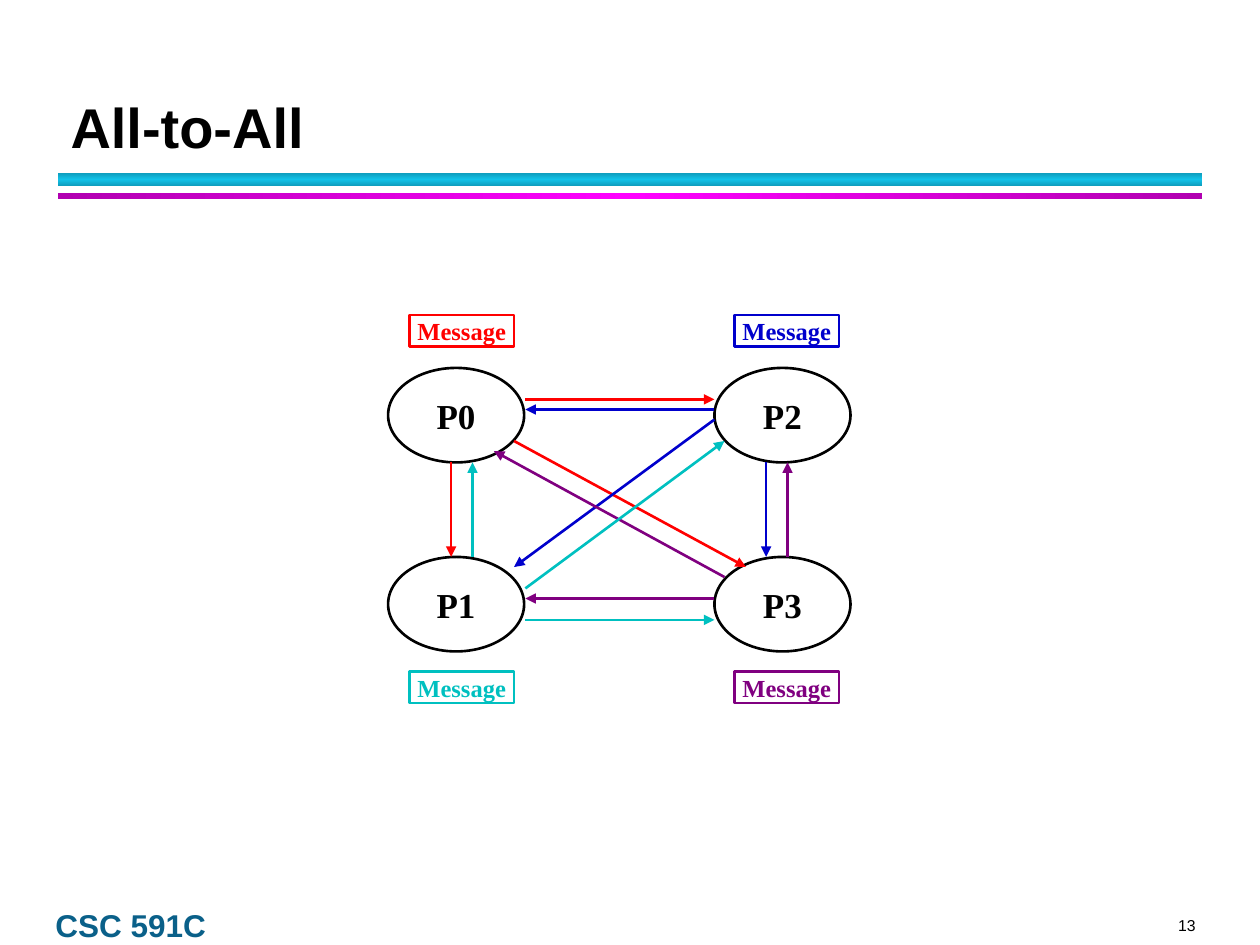
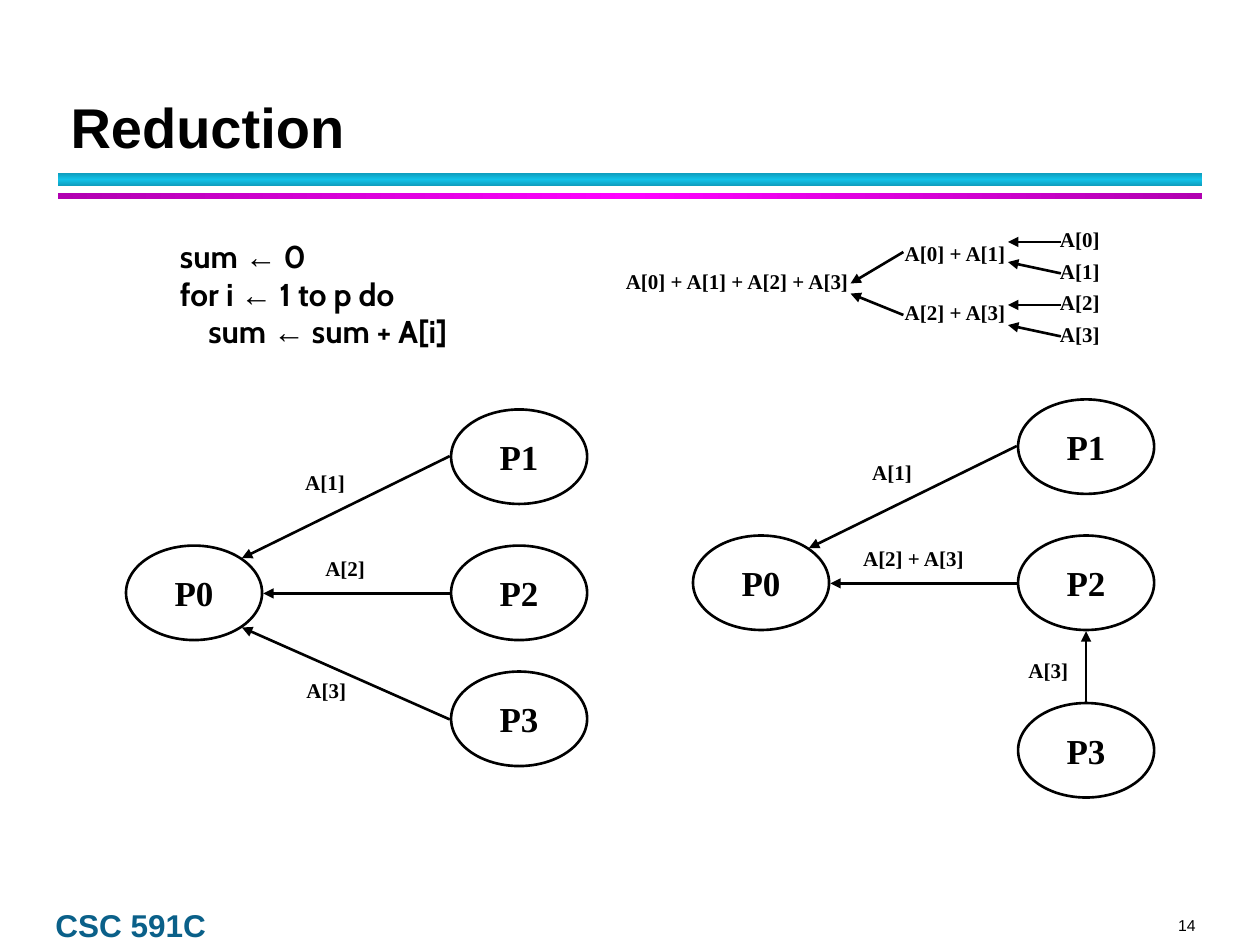
from copy import deepcopy
from dataclasses import dataclass, replace
from typing import NamedTuple

from lxml import etree
from pptx import Presentation
from pptx.dml.color import RGBColor
from pptx.enum.shapes import MSO_CONNECTOR, MSO_SHAPE
from pptx.enum.text import MSO_ANCHOR, MSO_AUTO_SIZE, PP_ALIGN
from pptx.oxml.ns import qn
from pptx.util import Emu, Pt

PX = 9144  # EMU per px, 100 px to the inch
TITLE_ONLY = 5
OVAL, RECTANGLE = MSO_SHAPE.OVAL, MSO_SHAPE.RECTANGLE
STRAIGHT = MSO_CONNECTOR.STRAIGHT
LEFT, CENTER, RIGHT = PP_ALIGN.LEFT, PP_ALIGN.CENTER, PP_ALIGN.RIGHT
MIDDLE, BOTTOM = MSO_ANCHOR.MIDDLE, MSO_ANCHOR.BOTTOM


@dataclass(frozen=True)
class TextStyle:
    font: str
    size: int
    color: str = "000000"
    bold: bool = True
    align: PP_ALIGN = CENTER
    line_pt: int | None = None


@dataclass(frozen=True)
class Theme:
    black: str = "000000"
    red: str = "FF0000"
    teal: str = "00C0C0"
    blue: str = "0000CC"
    purple: str = "800080"
    cyan_band: tuple[str, str] = ("0E9AB9", "12C2E9")
    magenta_band: tuple[str, str] = ("B100B1", "FF00FF")
    line_width: float = 1.5
    symbol_font: str = "Arial"
    title: TextStyle = TextStyle("Arial", 32, align=LEFT, line_pt=36)
    course: TextStyle = TextStyle("Arial", 18, "0A6089", align=LEFT, line_pt=20)
    number: TextStyle = TextStyle("Arial", 9, bold=False, align=RIGHT)
    process: TextStyle = TextStyle("Times New Roman", 20)
    message: TextStyle = TextStyle("Times New Roman", 14)
    term: TextStyle = TextStyle("Times New Roman", 12)
    code: TextStyle = TextStyle("Cabin", 18, align=LEFT)


THEME = Theme()


class Box(NamedTuple):
    left: int
    top: int
    width: int
    height: int


class Process(NamedTuple):
    name: str
    left: int
    top: int


class Term(NamedTuple):
    text: str
    left: int
    top: int


class Arrow(NamedTuple):
    x1: int
    y1: int
    x2: int
    y2: int
    color: str = THEME.black


class Band(NamedTuple):
    box: Box
    edge_and_middle: tuple[str, str]
    angle: int


BANDS = [
    Band(Box(46, 137, 908, 11), THEME.cyan_band, 90),
    Band(Box(46, 153, 908, 5), THEME.magenta_band, 0),
]

ALL_TO_ALL_PROCESSES = [
    Process(f"P{2 * column + row}", left, top)
    for column, left in enumerate((308, 567))
    for row, top in enumerate((292, 442))
]
MESSAGES = [
    (Box(325, 250, 83, 25), THEME.red),
    (Box(325, 533, 83, 25), THEME.teal),
    (Box(583, 533, 83, 25), THEME.purple),
    (Box(583, 250, 83, 25), THEME.blue),
]
ALL_TO_ALL_ARROWS = [
    Arrow(417, 317, 567, 317, THEME.red),
    Arrow(408, 350, 592, 450, THEME.red),
    Arrow(358, 367, 358, 442, THEME.red),
    Arrow(567, 325, 417, 325, THEME.blue),
    Arrow(567, 333, 408, 450, THEME.blue),
    Arrow(608, 367, 608, 442, THEME.blue),
    Arrow(625, 442, 625, 367, THEME.purple),
    Arrow(575, 458, 392, 358, THEME.purple),
    Arrow(567, 475, 417, 475, THEME.purple),
    Arrow(375, 442, 375, 367, THEME.teal),
    Arrow(417, 467, 575, 350, THEME.teal),
    Arrow(417, 492, 567, 492, THEME.teal),
]

SUM_CODE = ["sum ← 0", "for i ← 1 to p do", "    sum ← sum + A[i]"]
TREE_TERMS = [Term(f"A[{i}]", 832, 175 + 25 * i) for i in range(4)] + [
    Term("A[0] + A[1]", 708, 186),
    Term("A[2] + A[3]", 708, 233),
    Term("A[0] + A[1] + A[2] + A[3]", 485, 208),
]
TREE_ARROWS = [
    Arrow(842, 192, 800, 192),
    Arrow(842, 217, 800, 208),
    Arrow(842, 242, 800, 242),
    Arrow(842, 267, 800, 258),
    Arrow(717, 200, 675, 225),
    Arrow(717, 250, 675, 233),
]


def place(box: Box) -> tuple[Emu, ...]:
    return tuple(Emu(length * PX) for length in box)


def rgb(color: str) -> RGBColor:
    return RGBColor.from_string(color)


def style_paragraph(paragraph, style: TextStyle) -> None:
    paragraph.alignment = style.align
    if style.line_pt:
        paragraph.line_spacing = Pt(style.line_pt)
    font = paragraph.font
    font.name, font.size, font.bold = style.font, Pt(style.size), style.bold
    font.color.rgb = rgb(style.color)


def write(frame, text: str, style: TextStyle, anchor: MSO_ANCHOR = MIDDLE,
          wrap: bool = False) -> None:
    frame.auto_size = MSO_AUTO_SIZE.NONE
    frame.word_wrap = wrap
    frame.vertical_anchor = anchor
    paragraph = frame.paragraphs[0]
    paragraph.text = text
    style_paragraph(paragraph, style)


def add_outlined(slide, kind: MSO_SHAPE, box: Box, text: str, style: TextStyle) -> None:
    """Add an unfilled shape whose outline has the colour of its text."""
    shape = slide.shapes.add_shape(kind, *place(box))
    shape.shadow.inherit = False
    shape.fill.background()
    shape.line.color.rgb = rgb(style.color)
    shape.line.width = Pt(THEME.line_width)
    write(shape.text_frame, text, style)


def add_process(slide, process: Process) -> None:
    box = Box(process.left, process.top, 108, 75)
    add_outlined(slide, OVAL, box, process.name, THEME.process)


def add_term(slide, term: Term) -> None:
    width = 50 * term.text.count("A")
    label = slide.shapes.add_textbox(*place(Box(term.left, term.top, width, 30)))
    write(label.text_frame, term.text, THEME.term)


def add_arrow(slide, arrow: Arrow) -> None:
    ends = (Emu(length * PX) for length in arrow[:4])
    connector = slide.shapes.add_connector(STRAIGHT, *ends)
    connector.line.color.rgb = rgb(arrow.color)
    connector.line.width = Pt(THEME.line_width)
    properties = connector.element.spPr
    etree.SubElement(properties.find(qn("a:ln")), qn("a:tailEnd"), type="triangle")
    etree.SubElement(properties, qn("a:effectLst"))


def add_band(slide, band: Band) -> None:
    """Add a bar that shades from its edge colour to the middle one and back."""
    bar = slide.shapes.add_shape(RECTANGLE, *place(band.box))
    bar.shadow.inherit = False
    bar.line.fill.background()
    bar.fill.gradient()
    bar.fill.gradient_angle = band.angle
    first_stop = bar.element.spPr.find(f".//{qn('a:gs')}")
    first_stop.addnext(deepcopy(first_stop))
    edge, middle = band.edge_and_middle
    for stop, color, position in zip(bar.fill.gradient_stops, (edge, middle, edge), (0, 0.5, 1)):
        stop.color.rgb = rgb(color)
        stop.position = position


def add_footer(slide, box: Box, text: str, style: TextStyle) -> None:
    frame = slide.shapes.add_textbox(*place(box)).text_frame
    frame.margin_left = frame.margin_right = frame.margin_top = frame.margin_bottom = 0
    write(frame, text, style, BOTTOM, wrap=True)


def add_titled_slide(prs, title: str, number: int):
    slide = prs.slides.add_slide(prs.slide_layouts[TITLE_ONLY])
    heading = slide.shapes.title
    heading.left, heading.top, heading.width, heading.height = place(Box(46, 33, 906, 99))
    write(heading.text_frame, title, THEME.title, BOTTOM, wrap=True)
    for band in BANDS:
        add_band(slide, band)
    add_footer(slide, Box(876, 727, 73, 15), str(number), THEME.number)
    add_footer(slide, Box(44, 721, 140, 28), "CSC 591C", THEME.course)
    return slide


def add_code(slide, box: Box, lines: list[str]) -> None:
    """Write code lines, with the assignment arrow in the symbol font."""
    frame = slide.shapes.add_textbox(*place(box)).text_frame
    frame.word_wrap = True
    frame.vertical_anchor = MIDDLE
    for index, line in enumerate(lines):
        paragraph = frame.add_paragraph() if index else frame.paragraphs[0]
        target, symbol, value = line.partition("←")
        for part in (target, symbol, value):
            run = paragraph.add_run()
            run.text = part
            run.font.name = THEME.symbol_font if part == symbol else THEME.code.font
        style_paragraph(paragraph, THEME.code)


def add_gather(slide, x: int, y: int) -> None:
    """Draw P1 and P2 sending to P0, whose corner is at x, y."""
    for process in (Process("P0", x, y), Process("P1", x + 258, y - 108),
                    Process("P2", x + 258, y)):
        add_process(slide, process)
    add_arrow(slide, Arrow(x + 257, y - 71, x + 92, y + 10))
    add_arrow(slide, Arrow(x + 257, y + 38, x + 109, y + 38))
    add_term(slide, Term("A[1]", x + 133, y - 65))


def build_all_to_all(prs) -> None:
    slide = add_titled_slide(prs, "All-to-All", 13)
    for process in ALL_TO_ALL_PROCESSES:
        add_process(slide, process)
    for box, color in MESSAGES:
        add_outlined(slide, RECTANGLE, box, "Message", replace(THEME.message, color=color))
    for arrow in ALL_TO_ALL_ARROWS:
        add_arrow(slide, arrow)


def build_reduction(prs) -> None:
    slide = add_titled_slide(prs, "Reduction", 14)
    add_code(slide, Box(133, 183, 255, 100), SUM_CODE)

    add_gather(slide, 100, 433)
    add_process(slide, Process("P3", 358, 533))
    add_arrow(slide, Arrow(357, 571, 192, 498))
    add_term(slide, Term("A[2]", 249, 436))
    add_term(slide, Term("A[3]", 234, 533))

    add_gather(slide, 550, 425)
    add_process(slide, Process("P3", 808, 558))
    add_arrow(slide, Arrow(862, 557, 862, 501))
    add_term(slide, Term("A[2] + A[3]", 675, 428))
    add_term(slide, Term("A[3]", 807, 517))

    for term in TREE_TERMS:
        add_term(slide, term)
    for arrow in TREE_ARROWS:
        add_arrow(slide, arrow)


def main() -> None:
    prs = Presentation()
    prs.slide_width, prs.slide_height = Emu(1000 * PX), Emu(750 * PX)
    build_all_to_all(prs)
    build_reduction(prs)
    prs.save("out.pptx")


if __name__ == "__main__":
    main()
